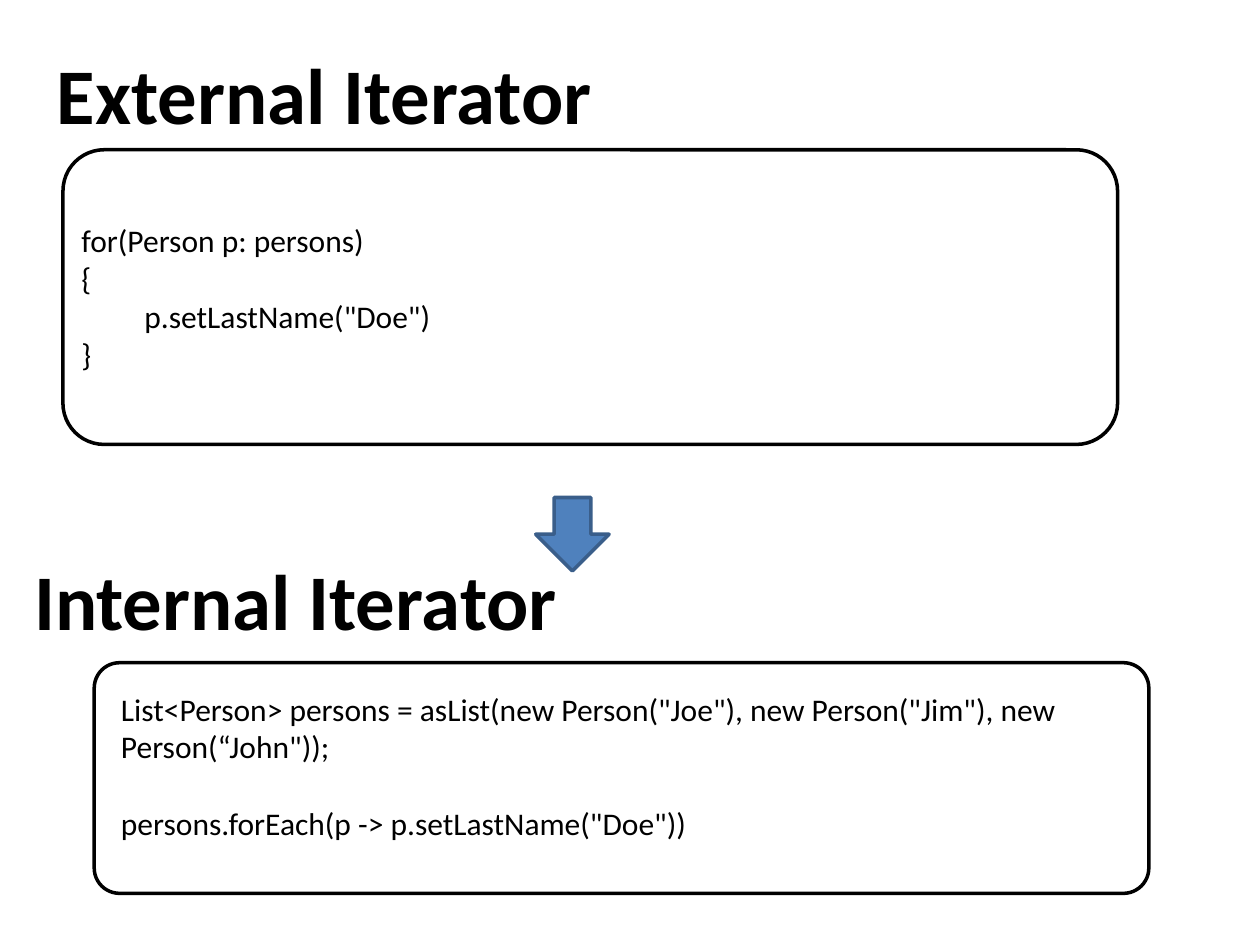
from pptx import Presentation
from pptx.dml.color import RGBColor
from pptx.enum.shapes import MSO_SHAPE
from pptx.enum.text import MSO_ANCHOR, PP_ALIGN
from pptx.util import Cm, Pt

ROUNDED, DOWN = MSO_SHAPE.ROUNDED_RECTANGLE, MSO_SHAPE.DOWN_ARROW
TOP, MIDDLE, LEFT = MSO_ANCHOR.TOP, MSO_ANCHOR.MIDDLE, PP_ALIGN.LEFT

FONT, BLACK, WHITE = "Calibri", "000000", "FFFFFF"
INSET = 0.13
CODE_SIZE, HEADING_SIZE = 18, 45

# Content: places are left, top, width, height in cm
LOOP_CODE = ["for(Person p: persons)", "{", '\tp.setLastName("Doe")', "}"]
FOREACH_CODE = [
    'List<Person> persons = asList(new Person("Joe"), new Person("Jim"), new Person(“John"));',
    'persons.forEach(p -> p.setLastName("Doe"))',
]
LOOP_BOX = (1.27, 3.02, 21.26, 5.94)
FOREACH_BOX = (1.9, 13.36, 21.26, 4.65)
FOREACH_TEXT = (2.31, 13.82, 20.45, 3.23)
ARROW = (10.8, 10.03, 1.48, 1.48)
HEADINGS = [
    ("Internal Iterator", (0.56, 11, 12.75, 2.08)),
    ("External Iterator", (1.02, 0.79, 12.67, 2.08)),
]


def rgb(color):
    return RGBColor.from_string(color)


def add_outlined(s, kind, place, fill, line):
    sp = s.shapes.add_shape(kind, *map(Cm, place))
    sp.shadow.inherit = False
    sp.fill.solid()
    sp.fill.fore_color.rgb = rgb(fill)
    sp.line.color.rgb = rgb(line)
    sp.line.width = Pt(2)
    return sp


def write(sp, lines, size, bold=False, anchor=MIDDLE, gap=0):
    tf = sp.text_frame
    tf.word_wrap = True
    tf.vertical_anchor = anchor
    tf.margin_left = tf.margin_right = tf.margin_top = tf.margin_bottom = Cm(INSET)
    for i, line in enumerate(lines):
        p = tf.add_paragraph() if i else tf.paragraphs[0]
        p.alignment = LEFT
        p.space_before = Pt(gap if i else 0)
        r = p.add_run()
        r.text = line
        r.font.name, r.font.size, r.font.bold = FONT, Pt(size), bold
        r.font.color.rgb = rgb(BLACK)


prs = Presentation()
prs.slide_width, prs.slide_height = Cm(25.4), Cm(19.05)
s = prs.slides.add_slide(prs.slide_layouts[6])

# Code boxes
loop_box = add_outlined(s, ROUNDED, LOOP_BOX, WHITE, BLACK)
loop_box.adjustments[0] = 0.14
write(loop_box, LOOP_CODE, CODE_SIZE)

foreach_box = add_outlined(s, ROUNDED, FOREACH_BOX, WHITE, BLACK)
foreach_box.adjustments[0] = 0.11
foreach_text = s.shapes.add_textbox(*map(Cm, FOREACH_TEXT))
write(foreach_text, FOREACH_CODE, CODE_SIZE, gap=22)

# Arrow from the external to the internal form
add_outlined(s, DOWN, ARROW, "4F81BD", "3A5E8A")

# Headings
for text, place in HEADINGS:
    write(s.shapes.add_textbox(*map(Cm, place)), [text], HEADING_SIZE, bold=True, anchor=TOP)

prs.save("out.pptx")
